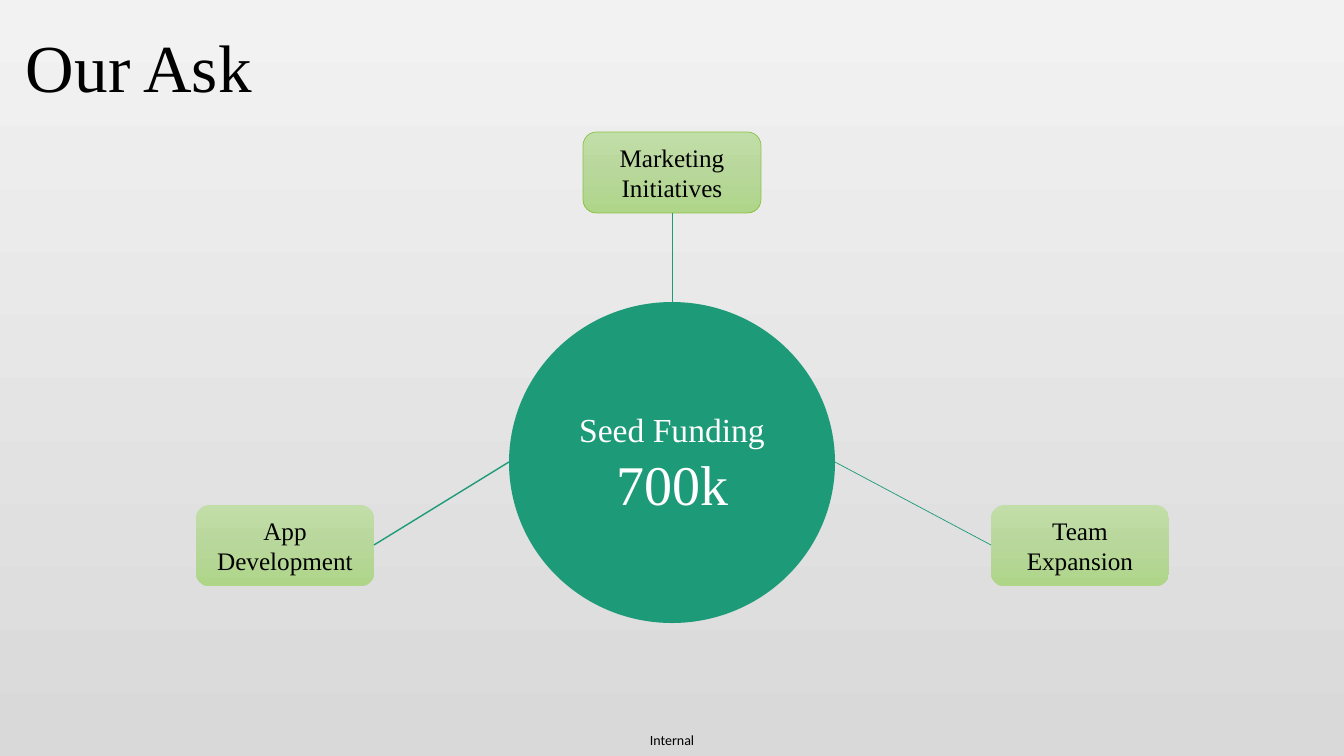
from copy import deepcopy
from dataclasses import dataclass

from pptx import Presentation
from pptx.dml.color import RGBColor
from pptx.enum.shapes import MSO_CONNECTOR, MSO_SHAPE
from pptx.enum.text import MSO_ANCHOR, PP_ALIGN
from pptx.oxml.ns import qn
from pptx.oxml.xmlchemy import OxmlElement
from pptx.util import Pt

SLIDE_W, SLIDE_H = 12192000, 6858000
PX = SLIDE_W / 1344
SERIF = "Times New Roman"
COLORS = {
    "black": "000000", "white": "FFFFFF", "teal": "1D9A78", "border": "8BC145",
    "bg_top": "F2F2F2", "bg_bottom": "D9D9D9",
    "box_top": "C2DEA8", "box_mid": "B8D79B", "box_bottom": "AED588",
}


@dataclass
class Rect:
    left: int
    top: int
    width: int
    height: int

    def emu(self) -> list[int]:
        return [emu(v) for v in (self.left, self.top, self.width, self.height)]

    def point(self, side: str) -> tuple[int, int]:
        mid_x, mid_y = self.left + self.width // 2, self.top + self.height // 2
        return {
            "left": (self.left, mid_y), "right": (self.left + self.width, mid_y),
            "top": (mid_x, self.top), "bottom": (mid_x, self.top + self.height),
        }[side]


@dataclass
class Line:
    text: str
    size: int
    color: str = "black"
    font: str = SERIF


@dataclass
class Use:
    """One use of the funding, joined to the circle by a line."""
    lines: list[str]
    left: int
    top: int
    box_side: str
    circle_side: str
    line_width: float
    border: bool = False


def emu(px: int) -> int:
    return round(px * PX)


def rgb(name: str) -> RGBColor:
    return RGBColor.from_string(COLORS[name])


def fill_gradient(owner, fill, names: list[str]) -> None:
    fill.gradient()
    fill.gradient_angle = 270
    stop_list = next(owner._element.iter(qn("a:gsLst")))
    while len(stop_list) < len(names):
        stop_list.append(deepcopy(stop_list[0]))
    for i, (stop, name) in enumerate(zip(fill.gradient_stops, names)):
        stop.position = i / (len(names) - 1)
        stop.color.rgb = rgb(name)


def write(tf, lines: list[Line], align: PP_ALIGN, **frame) -> None:
    for name, value in ({"word_wrap": True} | frame).items():
        setattr(tf, name, value)
    for i, line in enumerate(lines):
        p = tf.add_paragraph() if i else tf.paragraphs[0]
        p.alignment = align
        r = p.add_run()
        r.text = line.text
        for name, value in {"name": line.font, "size": Pt(line.size)}.items():
            setattr(r.font, name, value)
        r.font.color.rgb = rgb(line.color)


def add_text(slide, rect: Rect, line: Line, **frame) -> None:
    tf = slide.shapes.add_textbox(*rect.emu()).text_frame
    write(tf, [line], PP_ALIGN.LEFT, **frame)


def add_node(slide, kind: MSO_SHAPE, rect: Rect, lines: list[Line]):
    s = slide.shapes.add_shape(kind, *rect.emu())
    s.shadow.inherit = False
    s.line.fill.background()
    write(s.text_frame, lines, PP_ALIGN.CENTER, vertical_anchor=MSO_ANCHOR.MIDDLE)
    return s


def add_use(slide, use: Use, circle: Rect) -> None:
    rect = Rect(use.left, use.top, 178, 81)
    s = add_node(slide, MSO_SHAPE.ROUNDED_RECTANGLE, rect, [Line(t, 18) for t in use.lines])
    fill_gradient(s, s.fill, ["box_top", "box_mid", "box_bottom"])
    if use.border:
        s.line.color.rgb = rgb("border")
        s.line.width = Pt(0.5)
    ends = rect.point(use.box_side) + circle.point(use.circle_side)
    link = slide.shapes.add_connector(MSO_CONNECTOR.STRAIGHT, *map(emu, ends))
    link.line.color.rgb = rgb("teal")
    link.line.width = Pt(use.line_width)
    link._element.spPr.append(OxmlElement("a:effectLst"))


USES = [
    Use(["App Development"], 196, 505, "right", "left", 1),
    Use(["Marketing Initiatives"], 583, 132, "bottom", "top", 0.5, border=True),
    Use(["Team", "Expansion"], 991, 505, "left", "right", 0.5),
]


def main() -> None:
    prs = Presentation()
    prs.slide_width, prs.slide_height = SLIDE_W, SLIDE_H
    slide = prs.slides.add_slide(prs.slide_layouts[6])
    fill_gradient(slide, slide.background.fill, ["bg_top", "bg_bottom"])

    # Footer label and title
    no_margins = {f"margin_{side}": 0 for side in ("left", "top", "right", "bottom")}
    add_text(slide, Rect(650, 732, 47, 17), Line("Internal", 10, font="Calibri"),
             **no_margins | {"word_wrap": False})
    add_text(slide, Rect(16, 20, 685, 92), Line("Our Ask", 48))

    # Funding circle
    circle = Rect(509, 302, 326, 321)
    s = add_node(slide, MSO_SHAPE.OVAL, circle,
                 [Line("Seed Funding", 24, "white"), Line("700k", 40, "white")])
    s.fill.solid()
    s.fill.fore_color.rgb = rgb("teal")

    # Uses of the funding
    for use in USES:
        add_use(slide, use, circle)

    prs.save("out.pptx")


if __name__ == "__main__":
    main()
